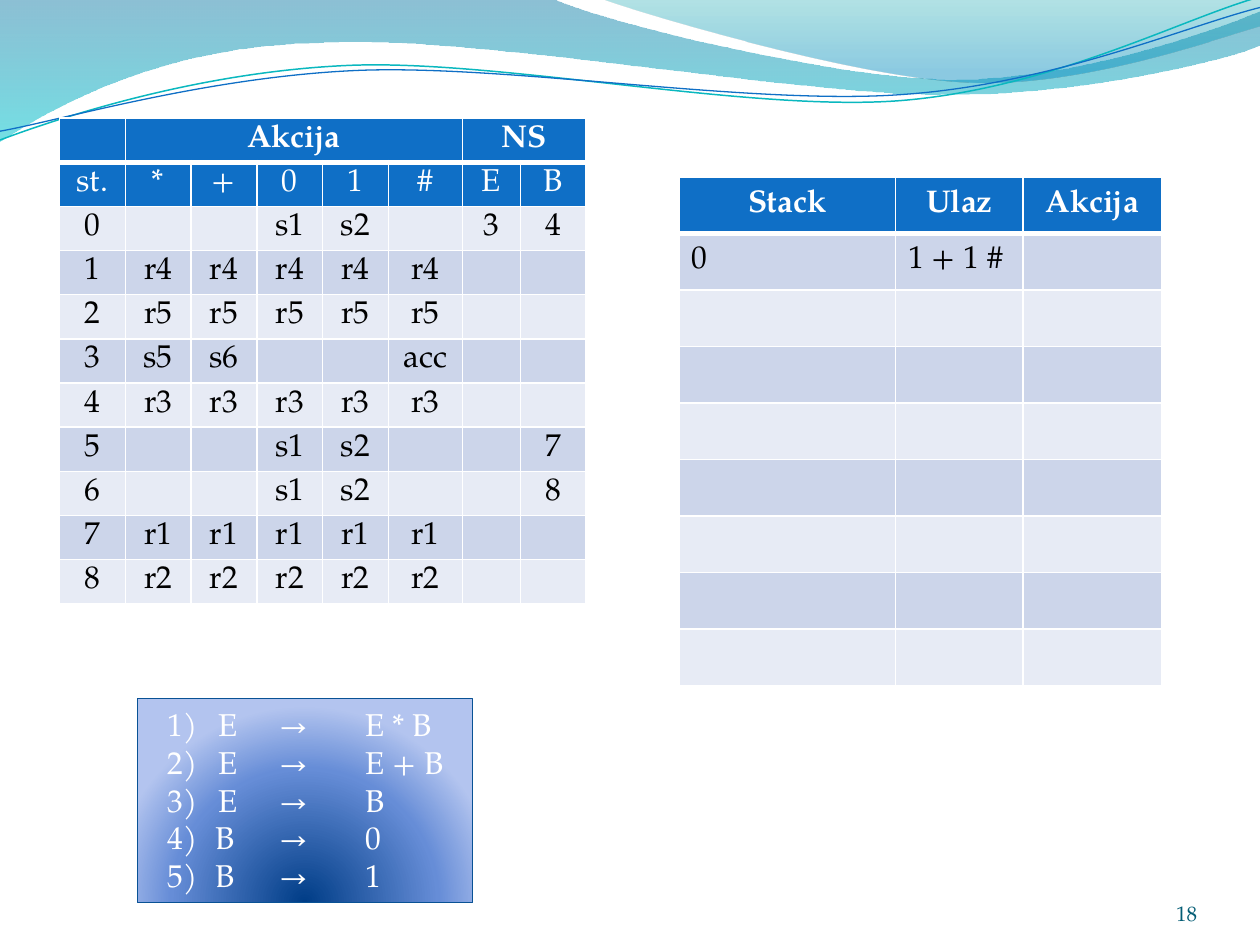
from pptx import Presentation, util as u
from pptx.dml.color import RGBColor
from pptx.enum import shapes, text
from pptx.oxml import parse_xml
from pptx.oxml.ns import nsdecls, qn

Pt = u.Pt


class Theme:
    font = "TeX Gyre Pagella"
    body_size, number_size = 18, 12
    white, black = "FFFFFF", "000000"
    header, light, dark = "0F6FC6", "E7EBF5", "CCD5EA"
    number, teal, blue = "045D75", "0AB8BF", "0F6FC6"
    box_line = "095295"
    # Gradient stops: position %, colour, opacity %
    left_wave = [(0, "0074A1", 45), (100, "00C6CF", 55)]
    right_wave = [(0, "00A1A9", 30), (80, "008BBF", 45)]
    box = [(0, "003D87", 100), (68, "668DD7", 100), (100, "B3C4EF", 100)]


def write(paragraph, content, size=Theme.body_size, color=Theme.black, bold=False,
          align=text.PP_ALIGN.LEFT):
    paragraph.text = content
    paragraph.alignment = align
    for run in paragraph.runs:
        run.font.name = Theme.font
        run.font.size = Pt(size)
        run.font.bold = bold
        run.font.color.rgb = RGBColor.from_string(color)


def add_grid(slide, left, top, widths, row_height, rows, header_rows, body_align, bands):
    """Add a table with white rules, header rows and alternating body bands."""
    table = slide.shapes.add_table(len(rows), len(widths), Pt(left), Pt(top), Pt(sum(widths)),
                                   Pt(row_height * len(rows))).table
    for column, width in zip(table.columns, widths):
        column.width = Pt(width)
    for r, values in enumerate(rows):
        table.rows[r].height = Pt(row_height)
        is_header = r < header_rows
        for c, value in enumerate(values):
            cell = table.cell(r, c)
            cell.margin_top = cell.margin_bottom = 0
            cell.vertical_anchor = text.MSO_ANCHOR.MIDDLE
            for side in "LRTB":
                heavy = (r, side) in [(0, "B"), (1, "T")]
                cell._tc.get_or_add_tcPr().append(parse_xml(
                    f'<a:ln{side} {nsdecls("a")} w="{Pt(3 if heavy else 1)}"><a:solidFill>'
                    f'<a:srgbClr val="{Theme.white}"/></a:solidFill></a:ln{side}>'))
            cell.fill.solid()
            fill = Theme.header if is_header else bands[(r - header_rows) % 2]
            cell.fill.fore_color.rgb = RGBColor.from_string(fill)
            if value:
                write(cell.text_frame.paragraphs[0], value, bold=r == 0,
                      color=Theme.white if is_header else Theme.black,
                      align=text.PP_ALIGN.CENTER if is_header else body_align)
    return table


presentation = Presentation()
presentation.slide_width, presentation.slide_height = Pt(720), Pt(540)
slide = presentation.slides.add_slide(presentation.slide_layouts[6])

# Waves: start point, then straight (x, y) or Bezier (x1, y1, x2, y2, x, y) segments
waves = [
    ((0, 0), [(317, 0), (343, 12, 478, 45.4, 546, 45.4), (614, 45.4, 690, 18.7, 720, 6.5),
              (720, 26), (708, 31.7, 626, 54.7, 537, 54), (448, 54, 275, 20.2, 185, 24.5),
              (93, 26, 33, 59.8, 0, 81)], Theme.left_wave, None),
    ((345, 0), [(366.5, 8, 491, 44.6, 553.7, 46.8), (616, 49.7, 692, 23, 720, 15),
                (720, 0)], Theme.right_wave, None),
    ((0, 80), [(34.6, 67, 113.8, 41, 199.4, 37.4), (284.4, 33.8, 427, 64, 513.4, 57.6),
               (599.8, 51, 675.4, 10.8, 718.6, -1.4)], None, (Theme.teal, 0.85)),
    ((0, 75), [(34, 69, 118, 44, 204, 40.3), (290, 36.7, 430, 60.5, 516, 54),
               (602, 48, 677.5, 15, 720, 4.3)], None, (Theme.blue, 0.75)),
]
gradients = []
for start, segments, stops, line in waves:
    builder = slide.shapes.build_freeform(Pt(start[0]), Pt(start[1]))
    for segment in segments:
        points = [(Pt(x), Pt(y)) for x, y in zip(segment[::2], segment[1::2])]
        builder.add_line_segments(points, close=False)
    if stops:
        builder.add_line_segments([], close=True)
    wave = builder.convert_to_shape()
    wave.shadow.inherit = False

    # Gather the three points of each Bezier segment into one curve
    outline = next(wave._element.iter(qn("a:path")))
    nodes = iter(outline.findall(qn("a:lnTo")))
    for segment in segments:
        steps = [next(nodes) for _ in segment[::2]]
        if len(steps) == 3:
            curve = parse_xml(f'<a:cubicBezTo {nsdecls("a")}/>')
            outline.replace(steps[0], curve)
            for step in steps:
                curve.append(step[0])
            for step in steps[1:]:
                outline.remove(step)

    if stops:
        wave.line.fill.background()
        gradients.append((wave, stops, '<a:lin ang="5400000" scaled="0"/>'))
    else:
        wave.fill.background()
        wave.line.color.rgb = RGBColor.from_string(line[0])
        wave.line.width = Pt(line[1])

# Parsing table
parsing_rows = [
    ["", "Akcija", "", "", "", "", "NS", ""],
    ["st.", "*", "+", "0", "1", "#", "E", "B"],
    ["0", "", "", "s1", "s2", "", "3", "4"],
    ["1"] + ["r4"] * 5 + ["", ""],
    ["2"] + ["r5"] * 5 + ["", ""],
    ["3", "s5", "s6", "", "", "acc", "", ""],
    ["4"] + ["r3"] * 5 + ["", ""],
    ["5", "", "", "s1", "s2", "", "", "7"],
    ["6", "", "", "s1", "s2", "", "", "8"],
    ["7"] + ["r1"] * 5 + ["", ""],
    ["8"] + ["r2"] * 5 + ["", ""],
]
parsing_table = add_grid(slide, 34, 67.5, [37.6] * 5 + [42.3, 33.1, 37.6], 25.25, parsing_rows,
                         2, text.PP_ALIGN.CENTER, (Theme.light, Theme.dark))
for first, last in [(1, 5), (6, 7)]:
    parsing_table.cell(0, first).merge(parsing_table.cell(0, last))

# Slide number
number = slide.shapes.add_textbox(Pt(624), Pt(500.4), Pt(60), Pt(28.8)).text_frame
number.word_wrap = True
number.margin_left = number.margin_right = number.margin_top = number.margin_bottom = 0
number.vertical_anchor = text.MSO_ANCHOR.BOTTOM
write(number.paragraphs[0], "18", size=Theme.number_size, color=Theme.number,
      align=text.PP_ALIGN.RIGHT)

# Grammar rules
grammar = slide.shapes.add_shape(shapes.MSO_SHAPE.RECTANGLE, Pt(78.4), Pt(399), Pt(191.5),
                                 Pt(116.6))
grammar.line.color.rgb = RGBColor.from_string(Theme.box_line)
grammar.line.width = Pt(0.75)
grammar.shadow.inherit = False
gradients.append((grammar, Theme.box, '<a:path path="circle"><a:fillToRect l="50000" '
                  't="130000" r="50000" b="-30000"/></a:path>'))
frame = grammar.text_frame
frame.word_wrap = True
frame.margin_left, frame.margin_right = Pt(17.4), 0
frame.margin_top, frame.margin_bottom = Pt(3), Pt(4)
frame.vertical_anchor = text.MSO_ANCHOR.MIDDLE
rules = ["1) \tE\t→\tE * B\v2) \tE\t→ \tE + B\v3) \tE\t→ \tB", "B\t→\t0", "B\t→\t1"]
for index, rule in enumerate(rules):
    paragraph = frame.add_paragraph() if index else frame.paragraphs[0]
    properties = paragraph._p.get_or_add_pPr()
    if index:
        properties.set("marL", str(Pt(27.4)))
        properties.set("indent", str(Pt(-27.4)))
        properties.append(parse_xml(
            f'<a:buAutoNum {nsdecls("a")} type="arabicParenR" startAt="4"/>'))
    tabs = "".join(f'<a:tab pos="{Pt(stop)}" algn="l"/>' for stop in (28.8, 64, 113))
    properties.append(parse_xml(f'<a:tabLst {nsdecls("a")}>{tabs}</a:tabLst>'))
    write(paragraph, rule, color=Theme.white)

for shape, stops, direction in gradients:
    shape.fill.solid()
    stop_xml = "".join(
        f'<a:gs pos="{position * 1000}"><a:srgbClr val="{color}">'
        f'<a:alpha val="{opacity * 1000}"/></a:srgbClr></a:gs>'
        for position, color, opacity in stops)
    properties = shape._element.spPr
    properties.replace(properties.find(qn("a:solidFill")), parse_xml(
        f'<a:gradFill {nsdecls("a")} rotWithShape="1"><a:gsLst>{stop_xml}</a:gsLst>'
        f'{direction}</a:gradFill>'))

# Stack trace
trace_rows = [["Stack", "Ulaz", "Akcija"], ["0", "1 + 1 #", ""]] + [[""] * 3] * 7
add_grid(slide, 388.2, 101.2, [123.5, 73, 79], 32.3, trace_rows, 1, text.PP_ALIGN.LEFT,
         (Theme.dark, Theme.light))

presentation.save("out.pptx")
